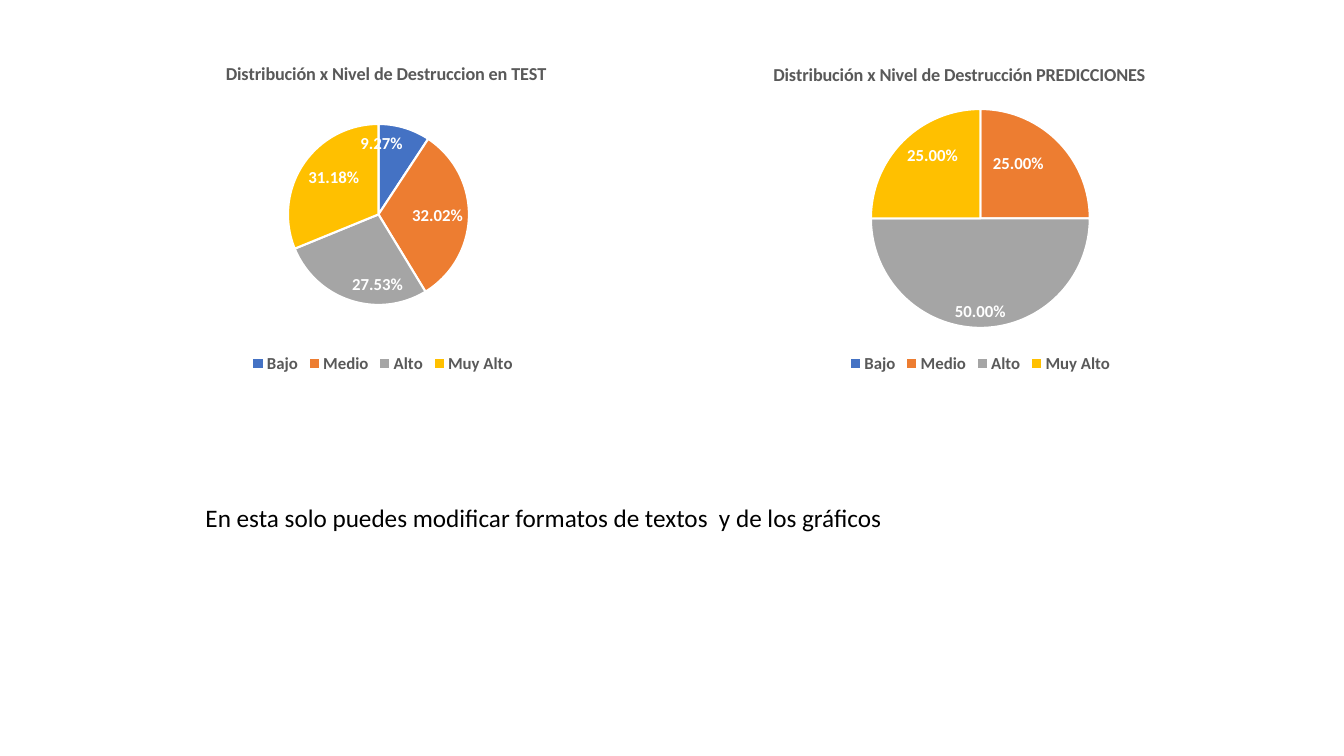
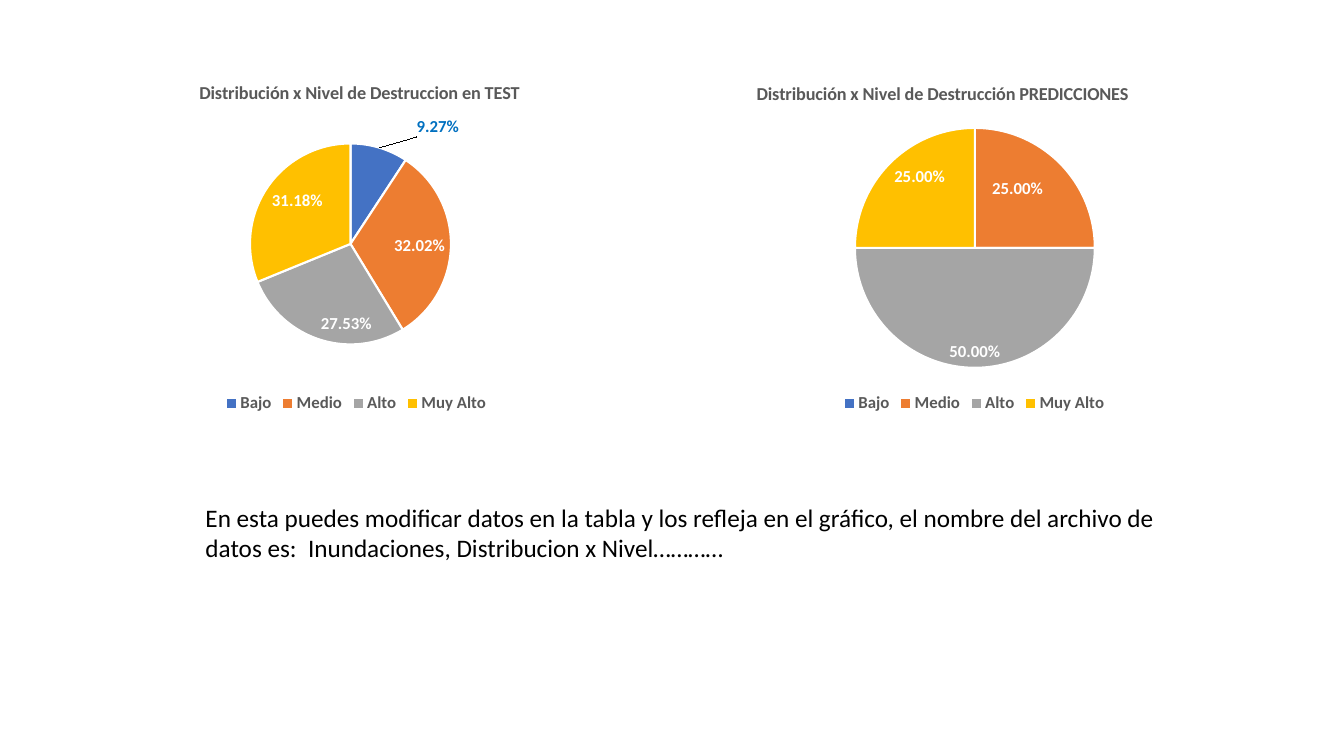
from lxml import etree
from pptx import Presentation
from pptx.chart.data import CategoryChartData
from pptx.dml.color import RGBColor
from pptx.enum.chart import XL_CHART_TYPE, XL_LABEL_POSITION, XL_LEGEND_POSITION
from pptx.oxml import parse_xml
from pptx.oxml.ns import nsdecls, qn
from pptx.util import Pt

BLACK = RGBColor(0x00, 0x00, 0x00)
WHITE = RGBColor(0xFF, 0xFF, 0xFF)
GREY_TEXT = RGBColor(0x59, 0x59, 0x59)
BLUE_LABEL = RGBColor(0x00, 0x70, 0xC0)
LEVEL_COLORS = [
    RGBColor(0x44, 0x72, 0xC4),
    RGBColor(0xED, 0x7D, 0x31),
    RGBColor(0xA5, 0xA5, 0xA5),
    RGBColor(0xFF, 0xC0, 0x00),
]
FONT = "Calibri"
PERCENT = "0.00%;;"  # a zero share shows no label

LEVELS = ["Bajo", "Medio", "Alto", "Muy Alto"]
TEST = ("Distribución x Nivel de Destruccion en TEST", [0.0927, 0.3202, 0.2753, 0.3118])
PREDICTIONS = ("Distribución x Nivel de Destrucción PREDICCIONES", [0, 0.25, 0.5, 0.25])

# Lengths in points. frame: left, top, width, height; title: left, top;
# pie: left, top, diameter; moved: level -> (dx, dy, colour) of its label.
SLIDES = [
    {
        "note": "En esta solo puedes modificar formatos de textos  y de los gráficos",
        "note_size": (503, 29),
        "charts": [
            {"data": TEST, "frame": (83, 29.5, 381, 240.5), "title": (159, 41.5),
             "pie": (205.7, 88.6, 129.3), "moved": {}},
            {"data": PREDICTIONS, "frame": (495.5, 29.5, 409.5, 240.5), "title": (550, 42),
             "pie": (622.1, 77.9, 156.4), "moved": {1: (-7, 6, WHITE)}},
        ],
    },
    {
        "note": "En esta puedes modificar datos en la tabla y los refleja en el gráfico, "
                "el nombre del archivo de datos es:  Inundaciones, Distribucion x Nivel…………",
        "note_size": (727, 51),
        "charts": [
            {"data": TEST, "frame": (56, 43, 397, 255), "title": (140, 55.5),
             "pie": (178.6, 102.5, 143.6), "moved": {0: (58, -26, BLUE_LABEL)}},
            {"data": PREDICTIONS, "frame": (480, 43, 432, 255), "title": (538, 56),
             "pie": (610.7, 91.4, 171.4), "moved": {1: (-9, 8, WHITE)}},
        ],
    },
]
NOTE_AT = (139.7, 355)


def style(font, size, color, bold=False):
    """Set face, size, colour and weight of a font."""
    font.name, font.size, font.bold = FONT, Pt(size), bold
    font.color.rgb = color


def set_layout(parent, index, **values):
    """Give a chart part a manual layout, as fractions of the chart."""
    for old in parent.findall(qn("c:layout")):
        parent.remove(old)
    layout = parse_xml(f"<c:layout {nsdecls('c')}><c:manualLayout/></c:layout>")
    for name, value in values.items():
        item = etree.SubElement(layout[0], qn(f"c:{name}"))
        item.set("val", value if isinstance(value, str) else f"{value:.4f}")
    parent.insert(index, layout)


def add_labels(series, size, moved):
    """Show percentages inside the slices and shift the moved ones."""
    labels = series.data_labels
    labels.show_value = True
    labels.number_format, labels.number_format_is_linked = PERCENT, False
    labels.position = XL_LABEL_POSITION.INSIDE_END
    style(labels.font, 12, WHITE, True)
    for level, (dx, dy, color) in moved.items():
        label = series.points[level].data_label
        style(label.font, 12, color, True)
        label.position = XL_LABEL_POSITION.INSIDE_END
        element = series._element.find(f"{qn('c:dLbls')}/{qn('c:dLbl')}")
        set_layout(element, 1, x=dx / size[0], y=dy / size[1])
        element.insert(2, parse_xml(
            f'<c:numFmt {nsdecls("c")} formatCode="{PERCENT}" sourceLinked="0"/>'))


def add_pie(slide, spec):
    """Add one titled pie chart with its legend and labels."""
    left, top, width, height = spec["frame"]
    title, shares = spec["data"]
    data = CategoryChartData(number_format="0.00%")
    data.categories = LEVELS
    data.add_series("Series 1", shares)
    chart = slide.shapes.add_chart(
        XL_CHART_TYPE.PIE, *map(Pt, spec["frame"]), data).chart
    style(chart.font, 10, BLACK)

    chart.has_title = True
    frame = chart.chart_title.text_frame
    frame.text = title
    style(frame.paragraphs[0].runs[0].font, 13, GREY_TEXT, True)
    title_x, title_y = spec["title"]
    set_layout(chart.chart_title._element, 1, xMode="edge", yMode="edge",
               x=(title_x - left) / width, y=(title_y - top) / height)

    chart.has_legend = True
    chart.legend.position = XL_LEGEND_POSITION.BOTTOM
    chart.legend.include_in_layout = False
    style(chart.legend.font, 12, GREY_TEXT, True)

    plot = chart.plots[0]
    plot.vary_by_categories = True
    series = plot.series[0]
    for index, color in enumerate(LEVEL_COLORS):
        slice_format = series.points[index].format
        slice_format.fill.solid()
        slice_format.fill.fore_color.rgb = color
        slice_format.line.color.rgb = WHITE
        slice_format.line.width = Pt(1.5)
    add_labels(series, (width, height), spec["moved"])

    pie_x, pie_y, diameter = spec["pie"]
    plot_area = chart._chartSpace.chart.plotArea
    set_layout(plot_area, 0, layoutTarget="inner", xMode="edge", yMode="edge",
               x=(pie_x - left) / width, y=(pie_y - top) / height,
               w=diameter / width, h=diameter / height)


def add_note(slide, text, size):
    """Add the remark below the charts."""
    frame = slide.shapes.add_textbox(*map(Pt, NOTE_AT + size)).text_frame
    frame.word_wrap = True
    frame.text = text
    style(frame.paragraphs[0].runs[0].font, 18, BLACK)


def main():
    """Build and save the presentation."""
    deck = Presentation()
    deck.slide_width, deck.slide_height = Pt(960), Pt(540)
    for spec in SLIDES:
        slide = deck.slides.add_slide(deck.slide_layouts[6])
        add_note(slide, spec["note"], spec["note_size"])
        for chart in spec["charts"]:
            add_pie(slide, chart)
    deck.save("out.pptx")


main()
